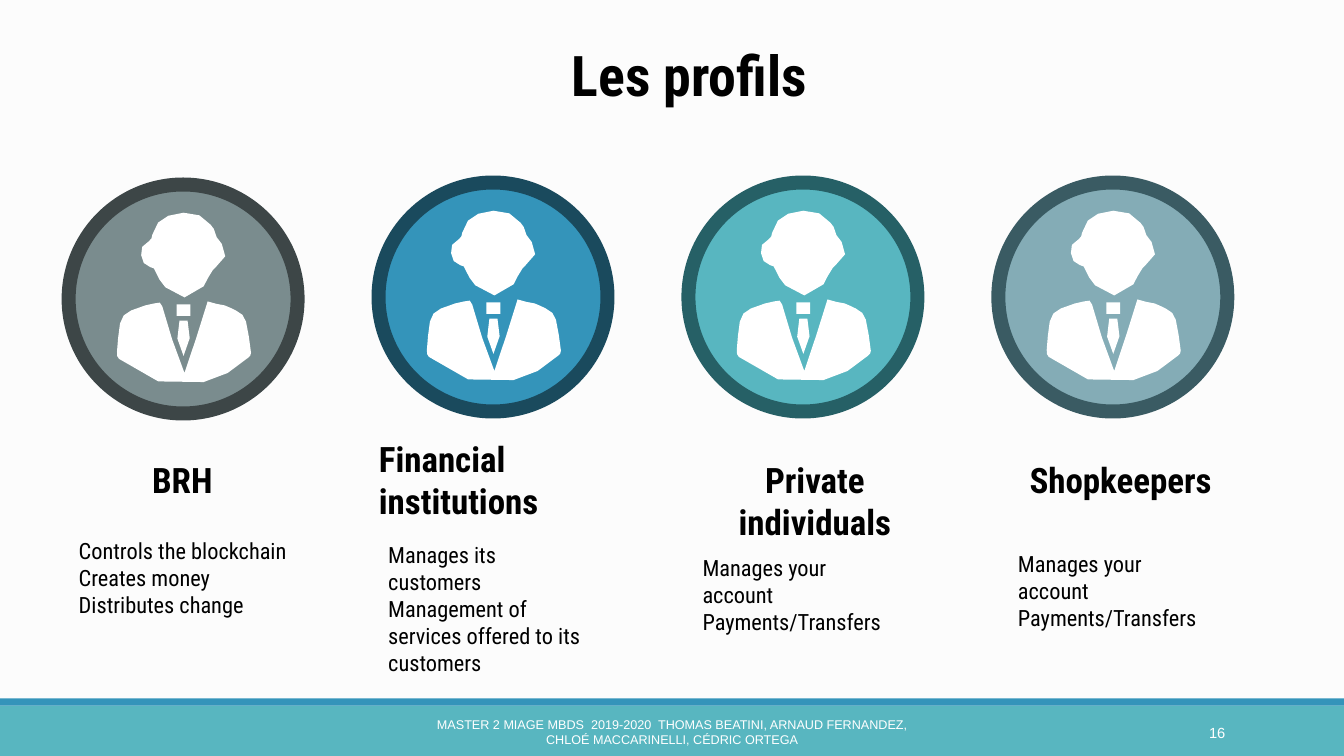
import pptx
import pptx.util
import pptx.dml.color
import pptx.enum.shapes
import pptx.enum.text
from lxml import etree

Cm = pptx.util.Cm
Pt = pptx.util.Pt
RGBColor = pptx.dml.color.RGBColor
Shape = pptx.enum.shapes.MSO_SHAPE
Align = pptx.enum.text.PP_ALIGN
Anchor = pptx.enum.text.MSO_ANCHOR

PAPER = RGBColor(0xFC, 0xFC, 0xFC)
WHITE = RGBColor(0xFF, 0xFF, 0xFF)
BLACK = RGBColor(0, 0, 0)
GREY = RGBColor(0x7A, 0x8C, 0x8E)
DARK_GREY = RGBColor(0x3D, 0x46, 0x47)
BLUE = RGBColor(0x34, 0x94, 0xBA)
DARK_BLUE = RGBColor(0x1A, 0x4A, 0x5D)
TEAL = RGBColor(0x58, 0xB6, 0xC0)
DARK_TEAL = RGBColor(0x26, 0x60, 0x66)
SLATE = RGBColor(0x84, 0xAC, 0xB6)
DARK_SLATE = RGBColor(0x3A, 0x5B, 0x63)

HEADING_FONT = "Roboto Condensed"
FOOTER_FONT = "Arial"
FIRST_LEFT, PROFILE_STEP, MEDALLION_SIZE = 1.73, 7.81, 5.77
CURVE_STEPS = 2

# Portrait outlines in hundredths of an inch from the medallion's corner:
# a start point, then two control points and an end point per curve.
JACKET = ((115, 187),
          (123, 163), (131, 140), (138, 116), (144, 118), (149, 119), (155, 120),
          (159, 122), (163, 123), (166, 125), (171, 127), (175, 131), (176, 136),
          (178, 146), (180, 156), (181, 167), (181, 169), (180, 171), (178, 172),
          (165, 184), (152, 192), (134, 196), (102, 203), (74, 195), (50, 173),
          (49, 172), (47, 169), (48, 166), (48, 157), (50, 148), (51, 138),
          (52, 132), (56, 127), (62, 125), (67, 123), (71, 122), (76, 120),
          (79, 119), (82, 119), (85, 118), (91, 116), (91, 117), (93, 121),
          (99, 143), (106, 165), (115, 187))
HEAD = ((114, 28),
        (126, 28), (135, 31), (141, 40), (142, 41), (143, 43), (144, 44),
        (146, 50), (147, 55), (152, 59), (160, 64), (155, 79), (146, 82),
        (145, 83), (144, 84), (143, 85), (139, 90), (137, 96), (134, 101),
        (122, 115), (108, 116), (96, 102), (92, 97), (88, 92), (86, 86),
        (86, 84), (84, 82), (81, 82), (75, 81), (73, 76), (72, 70),
        (71, 63), (73, 60), (80, 56), (82, 55), (83, 52), (83, 50),
        (86, 41), (90, 33), (99, 31), (104, 30), (109, 29), (114, 28))
TIE = ((110, 135),
       (112, 135), (115, 135), (118, 135), (123, 147), (120, 158), (114, 170),
       (109, 158), (104, 148), (110, 135))

# Fill, ring, medallion top, name with its box and alignment,
# description lines with their box. Boxes are left, top, width, height in cm.
PROFILES = (
    (GREY, DARK_GREY, 4.65, "BRH", (1.93, 11.43, 5.33, 1.32), Align.CENTER,
     ("Controls the blockchain", "Creates money", "Distributes change"),
     (1.73, 13.41, 5.77, 3)),
    (BLUE, DARK_BLUE, 4.6, "Financial institutions", (9.3, 10.9, 5.77, 2.4), Align.LEFT,
     ("Manages its customers", "Management of services offered to its customers"),
     (9.53, 13.51, 5.35, 3.5)),
    (TEAL, DARK_TEAL, 4.6, "Private individuals", (17.45, 11.43, 6.17, 2.3), Align.CENTER,
     ("Manages your account", "Payments/Transfers"), (17.45, 13.84, 5.35, 2.31)),
    (SLATE, DARK_SLATE, 4.6, "Shopkeepers", (24.94, 11.43, 6.6, 1.32), Align.CENTER,
     ("Manages your account", "Payments/Transfers"), (25.4, 13.74, 5.35, 2.31)),
)


def place(box, bounds):
    box.left, box.top, box.width, box.height = (Cm(value) for value in bounds)


def write(box, lines, size, color=BLACK, font=HEADING_FONT, bold=False,
          align=Align.LEFT, anchor=Anchor.TOP):
    frame = box.text_frame
    frame.word_wrap = True
    frame.auto_size = pptx.enum.text.MSO_AUTO_SIZE.NONE
    frame.vertical_anchor = anchor
    frame.text = "\n".join(lines)
    for para in frame.paragraphs:
        para.alignment = align
        para.space_before = Pt(0)
        para.font.name, para.font.size, para.font.bold = font, Pt(size), bold
        para.font.color.rgb = color


def remove_bullets(box):
    for para in box.text_frame.paragraphs:
        properties = para._p.get_or_add_pPr()
        properties.set("marL", "0")
        properties.set("indent", "0")
        bullet = etree.Element(pptx.oxml.ns.qn("a:buNone"))
        properties.insert_element_before(bullet, "a:tabLst", "a:defRPr", "a:extLst")


def add_text(page, bounds, text, size, **style):
    box = page.shapes.add_textbox(*(Cm(value) for value in bounds))
    write(box, [text], size, **style)


def paint(shape, color):
    shape.shadow.inherit = False
    shape.fill.solid()
    shape.fill.fore_color.rgb = color
    shape.line.fill.background()


def add_filled(shapes, kind, bounds, color):
    shape = shapes.add_shape(kind, *(Cm(value) for value in bounds))
    paint(shape, color)
    return shape


def curve_points(outline):
    """Yield points along the cubic curves of an outline."""
    for first in range(0, len(outline) - 1, 3):
        corners = outline[first:first + 4]
        for step in range(1, CURVE_STEPS + 1):
            t = step / CURVE_STEPS
            weights = ((1 - t) ** 3, 3 * t * (1 - t) ** 2, 3 * t * t * (1 - t), t ** 3)
            yield tuple(sum(weight * corner[axis] for weight, corner in zip(weights, corners))
                        for axis in (0, 1))


def add_outline(shapes, outline, left, top):
    def locate(point):
        return Cm(left + point[0] * 0.0254), Cm(top + point[1] * 0.0254)

    builder = shapes.build_freeform(*locate(outline[0]))
    builder.add_line_segments([locate(point) for point in curve_points(outline)], close=True)
    paint(builder.convert_to_shape(), WHITE)


def add_medallion(page, left, top, fill, ring):
    circle = add_filled(page.shapes, Shape.OVAL,
                        (left, top, MEDALLION_SIZE, MEDALLION_SIZE), fill)
    circle.line.color.rgb = ring
    circle.line.width = Pt(10)
    portrait = page.shapes.add_group_shape()
    for outline in (JACKET, HEAD, TIE):
        add_outline(portrait.shapes, outline, left, top)
    add_filled(portrait.shapes, Shape.RECTANGLE, (left + 2.72, top + 3.02, 0.35, 0.29), WHITE)


def add_footer(page):
    add_filled(page.shapes, Shape.RECTANGLE, (0, 17.78, 33.87, 1.27), TEAL)
    add_filled(page.shapes, Shape.RECTANGLE, (0, 17.6, 33.87, 0.18), BLUE)
    style = dict(color=WHITE, font=FOOTER_FONT, anchor=Anchor.MIDDLE)
    add_text(page, (10.24, 17.94, 13.39, 1.02),
             "MASTER 2 MIAGE MBDS  2019-2020  THOMAS BEATINI, ARNAUD FERNANDEZ, "
             "CHLOÉ MACCARINELLI, CÉDRIC ORTEGA", 9, align=Align.CENTER, **style)
    add_text(page, (27.5, 17.94, 3.63, 1.02), "16", 10.5, align=Align.RIGHT, **style)


def main():
    deck = pptx.Presentation()
    deck.slide_width, deck.slide_height = Cm(33.87), Cm(19.05)
    page = deck.slides.add_slide(deck.slide_layouts.get_by_name("Comparison"))
    page.background.fill.solid()
    page.background.fill.fore_color.rgb = PAPER
    add_footer(page)

    title, *descriptions = page.placeholders
    place(title, (2.92, 0.89, 28.9, 1.96))
    write(title, ["Les profils"], 40, bold=True, align=Align.CENTER)

    for index, (profile, description) in enumerate(zip(PROFILES, descriptions)):
        fill, ring, top, name, name_bounds, name_align, lines, bounds = profile
        add_medallion(page, FIRST_LEFT + index * PROFILE_STEP, top, fill, ring)
        add_text(page, name_bounds, name, 25, bold=True, align=name_align)
        place(description, bounds)
        write(description, lines, 16)
        remove_bullets(description)

    deck.save("out.pptx")


if __name__ == "__main__":
    main()
